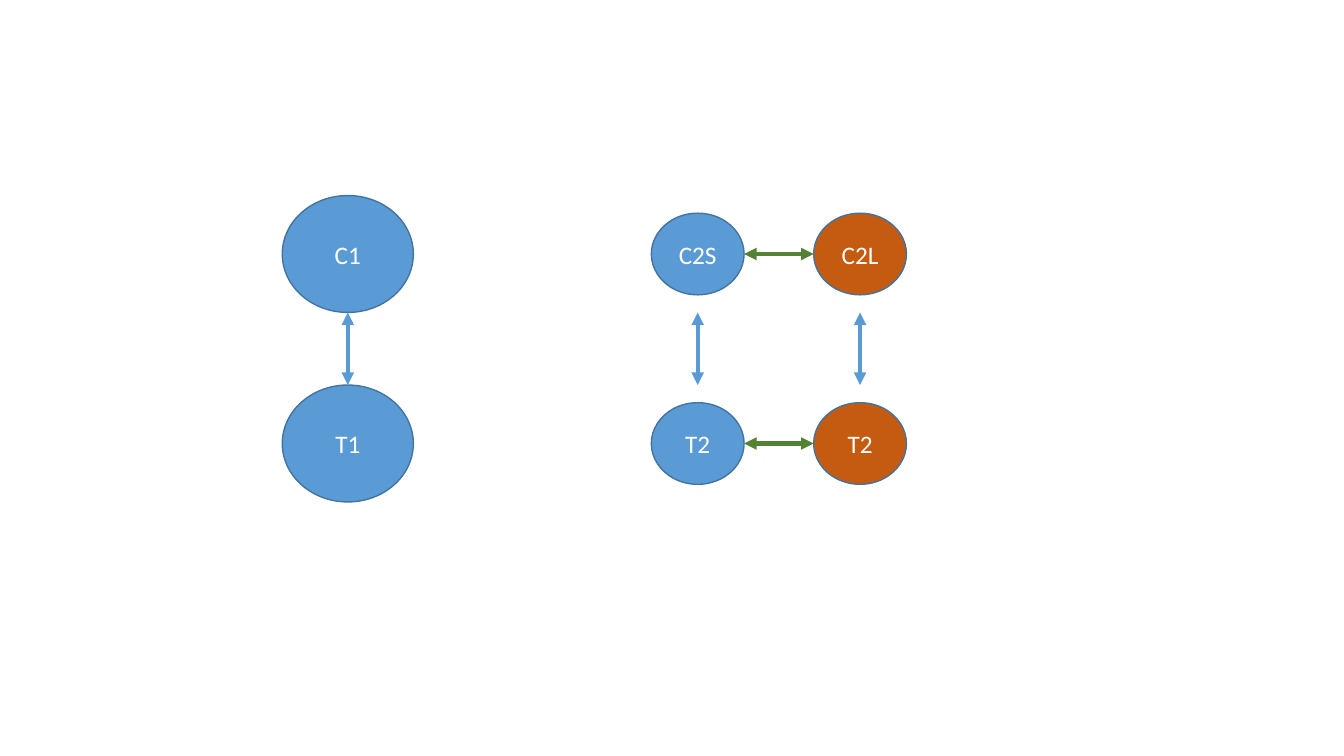
from lxml import etree
from pptx import Presentation
from pptx.dml.color import RGBColor
from pptx.enum import shapes, text
from pptx.oxml.ns import qn
from pptx.util import Inches, Pt

BLUE, ORANGE, GREEN, OUTLINE, WHITE = "5B9BD5", "C55A11", "548235", "43739E", "FFFFFF"
LARGE, SMALL = (1.3, 1.16), (0.92, 0.81)
TOP_Y, BOTTOM_Y = 2.52, 4.4
ARROW_TOP, ARROW_BOTTOM = 3.1, 3.82
# centre x, size, fill, top label, bottom label
COLUMNS = [
    (3.45, LARGE, BLUE, "C1", "T1"),
    (6.92, SMALL, BLUE, "C2S", "T2"),
    (8.53, SMALL, ORANGE, "C2L", "T2"),
]


def rgb(value):
    return RGBColor.from_string(value)


def add_node(slide, label, x, y, size, fill):
    """Add a labelled ellipse centred on x, y."""
    w, h = size
    sp = slide.shapes.add_shape(
        shapes.MSO_SHAPE.OVAL, Inches(x - w / 2), Inches(y - h / 2), Inches(w), Inches(h))
    sp.shadow.inherit = False
    sp.fill.solid()
    sp.fill.fore_color.rgb = rgb(fill)
    sp.line.color.rgb = rgb(OUTLINE)
    sp.line.width = Pt(1)
    tf = sp.text_frame
    tf.vertical_anchor = text.MSO_ANCHOR.MIDDLE
    p = tf.paragraphs[0]
    p.alignment = text.PP_ALIGN.CENTER
    r = p.add_run()
    r.text = label
    for name, value in {"name": "Calibri", "size": Pt(18)}.items():
        setattr(r.font, name, value)
    r.font.color.rgb = rgb(WHITE)


def add_double_arrow(slide, start, end, color):
    cxn = slide.shapes.add_connector(
        shapes.MSO_CONNECTOR.STRAIGHT, *(Inches(v) for v in (*start, *end)))
    cxn.line.color.rgb = rgb(color)
    cxn.line.width = Pt(3)
    ln = cxn.line._get_or_add_ln()
    for tag in ("a:headEnd", "a:tailEnd"):
        etree.SubElement(ln, qn(tag), type="triangle")
    etree.SubElement(cxn._element.spPr, qn("a:effectLst"))


def main():
    prs = Presentation()
    prs.slide_width, prs.slide_height = Inches(13.33), Inches(7.5)
    slide = prs.slides.add_slide(prs.slide_layouts[6])

    for x, size, fill, top, bottom in COLUMNS:
        add_node(slide, top, x, TOP_Y, size, fill)
        add_node(slide, bottom, x, BOTTOM_Y, size, fill)
        add_double_arrow(slide, (x, ARROW_TOP), (x, ARROW_BOTTOM), BLUE)

    left_x, right_x = COLUMNS[1][0], COLUMNS[2][0]
    radius = SMALL[0] / 2
    for y in (TOP_Y, BOTTOM_Y):
        add_double_arrow(slide, (right_x - radius, y), (left_x + radius, y), GREEN)

    prs.save("out.pptx")


if __name__ == "__main__":
    main()
